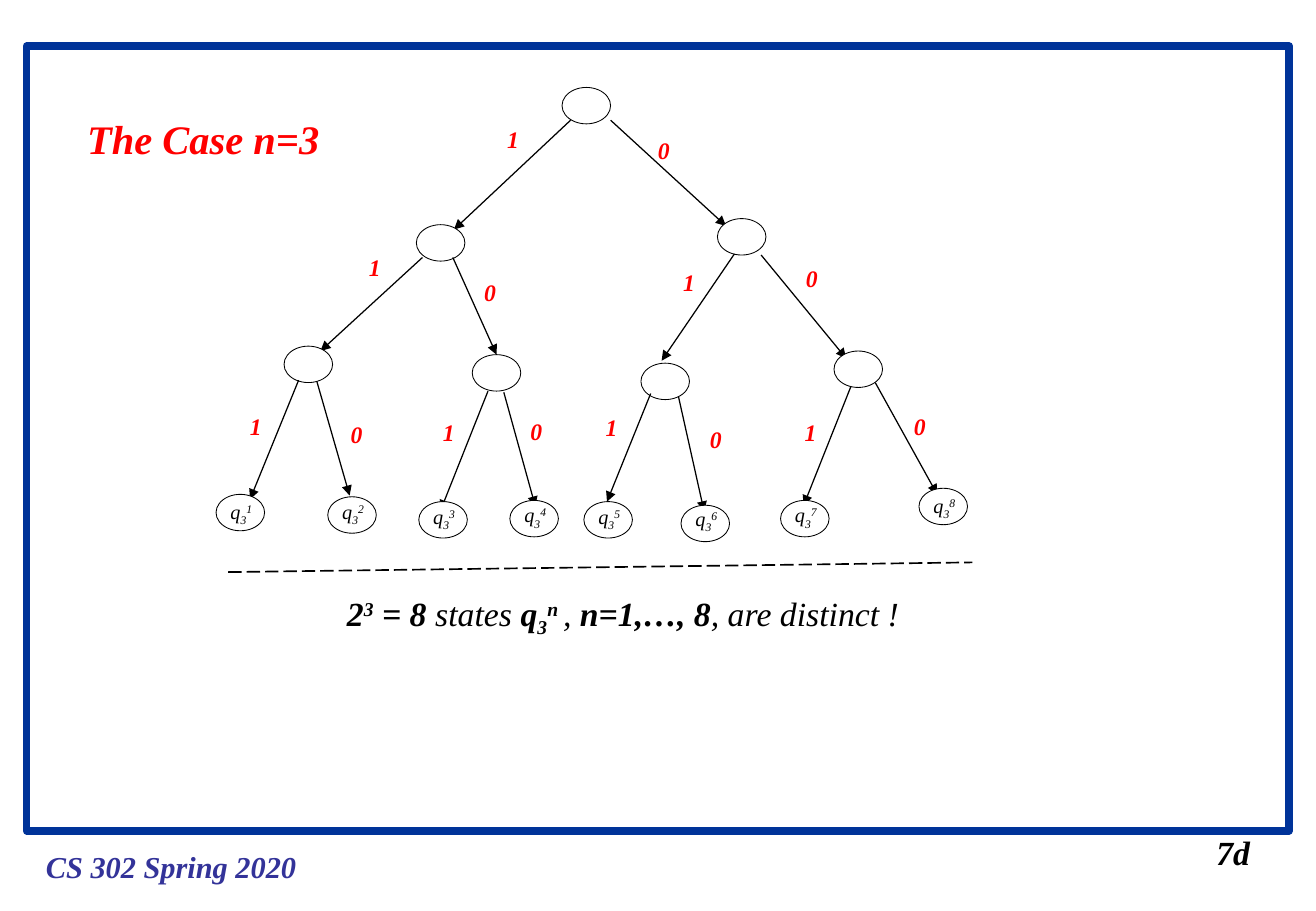
from lxml import etree
from pptx import Presentation
from pptx.dml.color import RGBColor
from pptx.enum.dml import MSO_LINE
from pptx.enum.shapes import MSO_CONNECTOR, MSO_SHAPE
from pptx.enum.text import MSO_AUTO_SIZE
from pptx.oxml.ns import qn
from pptx.util import Inches, Pt

WHITE = RGBColor(0xFF, 0xFF, 0xFF)
BLACK = RGBColor(0, 0, 0)
RED = RGBColor(0xFF, 0, 0)
FRAME_BLUE = RGBColor(0, 0x33, 0x99)
FOOTER_BLUE = RGBColor(0x33, 0x33, 0x99)
FONT = "Times New Roman"
SUB, SUP = -25, 30
NODE_W, NODE_H = 0.4, 0.3

ROOT = (2.85, 0)
# Each branch: arrow start, arrow end, bit label, child node
LEVELS = [
    [
        ((2.92, 0.27), (1.96, 1.17), (2.3, 0.26), (1.65, 1.13)),
        ((3.25, 0.27), (4.2, 1.14), (3.54, 0.35), (4.13, 1.08)),
    ],
    [
        ((1.7, 1.4), (0.86, 2.17), (1.16, 1.31), (0.56, 2.13)),
        ((1.95, 1.4), (2.31, 2.2), (2.11, 1.52), (2.11, 2.2)),
        ((4.27, 1.37), (3.67, 2.25), (3.75, 1.44), (3.5, 2.27)),
        ((4.49, 1.38), (5.19, 2.23), (4.76, 1.4), (5.09, 2.17)),
    ],
    [
        ((0.68, 2.41), (0.28, 3.39), (0.18, 2.62), (0, 3.35)),
        ((0.83, 2.42), (1.1, 3.36), (1.01, 2.69), (0.92, 3.37)),
        ((2.24, 2.5), (1.85, 3.48), (1.77, 2.67), (1.67, 3.41)),
        ((2.37, 2.51), (2.63, 3.45), (2.49, 2.66), (2.42, 3.4)),
        ((3.58, 2.52), (3.22, 3.41), (3.11, 2.63), (3.03, 3.41)),
        ((3.81, 2.55), (4.02, 3.49), (3.97, 2.73), (3.83, 3.44)),
        ((5.23, 2.46), (4.84, 3.44), (4.75, 2.67), (4.65, 3.4)),
        ((5.43, 2.43), (5.94, 3.35), (5.65, 2.62), (5.79, 3.3)),
    ],
]
STATE_LIFTS = (0.01, 0.03, 0.03, 0.03, 0.03, 0.04, 0.03, 0.01)


def add_text(s, box, parts, size, color=BLACK, bold=True):
    tb = s.shapes.add_textbox(*map(Inches, box))
    tf = tb.text_frame
    tf.word_wrap = False
    tf.auto_size = MSO_AUTO_SIZE.SHAPE_TO_FIT_TEXT
    p = tf.paragraphs[0]
    if isinstance(parts, str):
        parts = [(parts, bold, 0)]
    for text, is_bold, baseline in parts:
        r = p.add_run()
        r.text = text
        r.font.name = FONT
        r.font.size = Pt(size)
        r.font.bold = is_bold
        r.font.italic = True
        r.font.color.rgb = color
        if baseline:
            r.font._element.set("baseline", str(baseline * 1000))


def add_line(s, start, end, width, arrow=False, dash=None):
    cx = s.shapes.add_connector(MSO_CONNECTOR.STRAIGHT, *map(Inches, start + end))
    cx.line.color.rgb = BLACK
    cx.line.width = Pt(width)
    if dash:
        cx.line.dash_style = dash
    if arrow:
        tail = etree.SubElement(cx.line._get_or_add_ln(), qn("a:tailEnd"))
        tail.set("type", "triangle")
    etree.SubElement(cx._element.spPr, qn("a:effectLst"))


def add_outline(s, kind, box, color, width, fill=None):
    sp = s.shapes.add_shape(kind, *map(Inches, box))
    sp.shadow.inherit = False
    if fill is None:
        sp.fill.background()
    else:
        sp.fill.solid()
        sp.fill.fore_color.rgb = fill
    sp.line.color.rgb = color
    sp.line.width = Pt(width)


def add_node(s, pos):
    add_outline(s, MSO_SHAPE.OVAL, pos + (NODE_W, NODE_H), BLACK, 0.5, WHITE)


def add_frame(s, left, top, width, height):
    add_outline(s, MSO_SHAPE.RECTANGLE, (left, top, width, height), FRAME_BLUE, 4.5)
    bottom = top + height
    add_text(s, (left + 0.06, bottom + 0.09, 2.26, 0.4), "CS 302 Spring 2020", 18, FOOTER_BLUE)
    add_text(s, (left + width - 0.7, bottom - 0.04, 0.48, 0.44), "7d", 20)
    add_text(s, (left + 0.4, top + 0.51, 2.19, 0.5), "The Case n=3", 24, RED)


def add_tree(s, left, top):
    def at(pos):
        return left + pos[0], top + pos[1]

    for level in LEVELS:
        for start, end, _, _ in level:
            add_line(s, at(start), at(end), 0.75, arrow=True)
        for _, _, _, node in level:
            add_node(s, at(node))
    add_node(s, at(ROOT))

    for level in LEVELS:
        for i, (_, _, label, _) in enumerate(level):
            add_text(s, at(label) + (0.3, 0.34), "10"[i % 2], 14, RED)

    for n, (branch, lift) in enumerate(zip(LEVELS[-1], STATE_LIFTS), 1):
        x, y = at(branch[-1])
        state = [("q", False, 0), ("3", False, SUB), (str(n), False, SUP)]
        add_text(s, (x + 0.02, y - lift, 0.38, 0.33), state, 12)


def add_conclusion(s, left, top):
    add_line(s, (left, top + 0.08), (left + 6.13, top), 1, dash=MSO_LINE.LONG_DASH)
    parts = [
        ("2", True, 0), ("3", True, SUP), (" = 8 ", True, 0), ("states ", False, 0),
        ("q", True, 0), ("3", True, SUB), ("n ", True, SUP), (", ", False, 0),
        ("n=1,…, 8", True, 0), (", are distinct !", False, 0),
    ]
    add_text(s, (left + 0.88, top + 0.2, 4.79, 0.48), parts, 20)


def main():
    prs = Presentation()
    prs.slide_width = Inches(10.84)
    prs.slide_height = Inches(7.5)
    s = prs.slides.add_slide(prs.slide_layouts[6])
    add_frame(s, 0.22, 0.38, 10.4, 6.46)
    add_tree(s, 1.78, 0.72)
    add_conclusion(s, 1.88, 4.63)
    prs.save("out.pptx")


if __name__ == "__main__":
    main()
